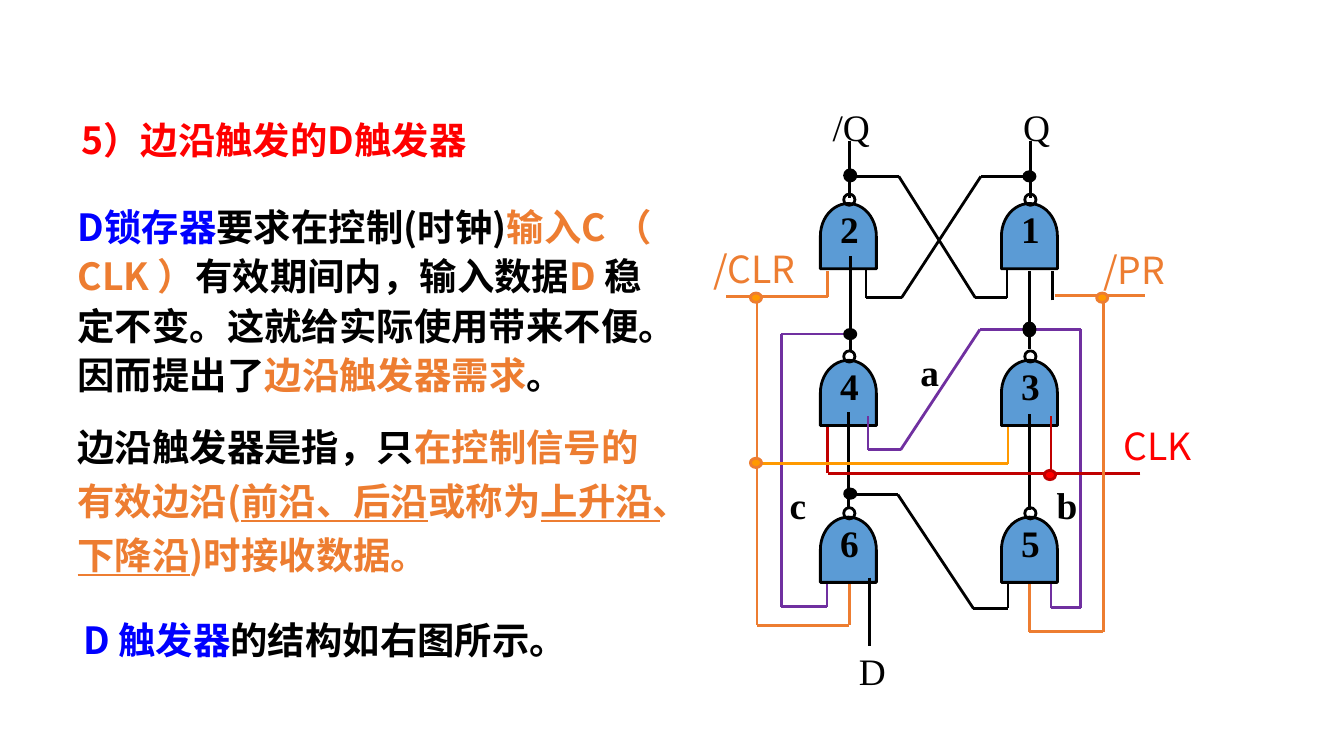
"""Builds a slide on the edge-triggered D flip-flop and its gate circuit."""
from lxml import etree
from pptx import Presentation
from pptx.dml.color import RGBColor
from pptx.enum.shapes import MSO_CONNECTOR, MSO_SHAPE
from pptx.enum.text import MSO_ANCHOR
from pptx.oxml.ns import qn
from pptx.util import Pt

STRAIGHT = MSO_CONNECTOR.STRAIGHT
DELAY = MSO_SHAPE.FLOWCHART_DELAY
OVAL = MSO_SHAPE.OVAL
TOP = MSO_ANCHOR.TOP
MIDDLE = MSO_ANCHOR.MIDDLE

BLACK = RGBColor(0, 0, 0)
RED = RGBColor(0xFF, 0, 0)
DARK_RED = RGBColor(0xC0, 0, 0)
BLUE = RGBColor(0, 0, 0xFF)
GATE_BLUE = RGBColor(0x5B, 0x9B, 0xD5)
ORANGE = RGBColor(0xED, 0x7D, 0x31)
AMBER = RGBColor(0xFF, 0x99, 0)
PURPLE = RGBColor(0x70, 0x30, 0xA0)

HEADING_FONT = "Noto Sans CJK JP"
SIGNAL_FONT = "Noto Sans CJK SC"
LATIN_FONT = "Times New Roman"


class CircuitSlide:
    """Holds the line and text style and draws elements on one slide."""

    line_width = Pt(1.5)
    text_size = Pt(20)

    def __init__(self, slide):
        self.slide = slide

    def style_run(self, run, color, font_name, bold, underline=False):
        font = run.font
        font.size = self.text_size
        font.bold = bold
        font.underline = underline
        font.color.rgb = color
        font.name = font_name
        latin = run._r.rPr.find(qn("a:latin"))
        east_asian = etree.Element(qn("a:ea"), typeface=font_name)
        latin.addnext(east_asian)

    def frame(self, left, top, width, height, anchor=TOP):
        box = self.slide.shapes.add_textbox(Pt(left), Pt(top), Pt(width), Pt(height))
        box.text_frame.word_wrap = True
        box.text_frame.vertical_anchor = anchor
        return box.text_frame

    def prose(self, left, top, width, height, paragraphs, anchor=TOP):
        frame = self.frame(left, top, width, height, anchor)
        for index, (spacing, pieces) in enumerate(paragraphs):
            paragraph = frame.add_paragraph() if index else frame.paragraphs[0]
            paragraph.line_spacing = spacing
            if index:
                paragraph.space_before = Pt(10)
            for wording, color, underline in pieces:
                run = paragraph.add_run()
                run.text = wording
                self.style_run(run, color, HEADING_FONT, True, underline)

    def label(self, wording, left, top, width, color=BLACK, font_name=LATIN_FONT, bold=False):
        frame = self.frame(left, top, width, 35)
        frame.text = wording
        self.style_run(frame.paragraphs[0].runs[0], color, font_name, bold)

    def outline(self, preset, center_x, center_y, width, height, fill, line):
        shape = self.slide.shapes.add_shape(
            preset, Pt(center_x - width / 2), Pt(center_y - height / 2), Pt(width), Pt(height))
        shape.shadow.inherit = False
        if fill is None:
            shape.fill.background()
        else:
            shape.fill.solid()
            shape.fill.fore_color.rgb = fill
        shape.line.color.rgb = line
        shape.line.width = self.line_width
        return shape

    def gate(self, center_x, center_y):
        self.outline(DELAY, center_x, center_y, 35, 30, GATE_BLUE, BLACK).rotation = 270

    def junction(self, center_x, center_y, fill=BLACK, line=BLACK, height=5):
        self.outline(OVAL, center_x, center_y, 6, height, fill, line)

    def bubble(self, center_x, center_y):
        self.outline(OVAL, center_x, center_y, 6, 6, None, BLACK)

    def wire(self, color, *corners):
        for start, end in zip(corners, corners[1:]):
            segment = self.slide.shapes.add_connector(
                STRAIGHT, *(Pt(value) for value in start + end))
            segment.line.color.rgb = color
            segment.line.width = self.line_width
            etree.SubElement(segment._element.spPr, qn("a:effectLst"))


GATE_COLUMNS = (454.5, 551.5)
GATE_ROWS = (126.5, 210.5, 294.5)
GATE_NUMBERS = (("2", "1"), ("4", "3"), ("6", "5"))

WIRES = (
    (BLACK, (455, 75.5), (455, 106)),
    (BLACK, (552, 75.5), (552, 106)),
    (BLACK, (455, 94.5), (481.5, 94.5), (522.5, 159.5), (539.5, 159.5), (539.5, 144)),
    (BLACK, (552, 94.5), (525.5, 94.5), (483, 159.5), (464, 159.5), (464, 144)),
    (ORANGE, (389, 159), (443.5, 159), (443.5, 145)),
    (BLACK, (564, 161), (564, 145)),
    (ORANGE, (565, 158.5), (613.5, 158.5)),
    (BLACK, (455.5, 188), (455.5, 137)),
    (BLACK, (551.5, 187), (551.5, 145)),
    (BLACK, (454.5, 272), (454.5, 221)),
    (BLACK, (551.5, 273), (551.5, 222)),
    (PURPLE, (465, 223), (465, 241), (482.5, 241), (525, 176.5), (579, 176.5),
     (579, 325.5), (563, 325.5), (563, 313)),
    (PURPLE, (455, 179), (418.5, 179), (418.5, 325), (443, 325), (443, 313)),
    (DARK_RED, (611, 253.5), (443.5, 253.5), (443.5, 229)),
    (DARK_RED, (563, 253.5), (563, 223)),
    (AMBER, (407.5, 248.5), (540, 248.5), (540, 229)),
    (ORANGE, (405.5, 160.5), (405.5, 335), (455, 335), (455, 313)),
    (ORANGE, (591, 159), (591, 338.5), (551.5, 338.5), (551.5, 313)),
    (BLACK, (455, 265), (481, 265), (521.5, 326), (540, 326), (540, 313)),
    (BLACK, (466, 309.5), (466, 346)),
)

JUNCTIONS = (
    (455.5, 94, BLACK, BLACK, 6),
    (551.5, 94.5),
    (455.5, 179),
    (551.5, 176.5, BLACK, BLACK, 7),
    (455.5, 264.5),
    (405, 159.5, AMBER, ORANGE),
    (405, 248, AMBER, ORANGE),
    (590.5, 159.5, AMBER, ORANGE),
    (562.5, 254.5, RED, DARK_RED),
)

LABELS = (
    ("/Q", 439, 52, 42),
    ("Q", 541, 52, 30),
    ("D", 453, 343.5, 30),
    ("a", 486, 183.5, 30, BLACK, LATIN_FONT, True),
    ("b", 559, 255, 30, BLACK, LATIN_FONT, True),
    ("c", 416, 255, 30, BLACK, LATIN_FONT, True),
    ("/CLR", 375, 128.5, 61, ORANGE, SIGNAL_FONT),
    ("/PR", 584, 129, 61, ORANGE, SIGNAL_FONT),
    ("CLK", 595, 223, 61, RED, SIGNAL_FONT),
)

TITLE = ((0.9, (("5）边沿触发的D触发器", RED, False),)),)

EXPLANATION = (
    (1.1, (
        ("D锁存器", BLUE, False),
        ("要求在控制(时钟)", BLACK, False),
        ("输入C （ CLK ）", ORANGE, False),
        ("有效期间内，输入数据", BLACK, False),
        ("D ", ORANGE, False),
        ("稳定不变。这就给实际使用带来不便。因而提出了", BLACK, False),
        ("边沿触发器需求", ORANGE, False),
        ("。", BLACK, False))),
    (1.2, (
        ("边沿触发器是指，只", BLACK, False),
        ("在控制信号的有效边沿(", ORANGE, False),
        ("前沿、后沿", ORANGE, True),
        ("或称为", ORANGE, False),
        ("上升沿、下降沿", ORANGE, True),
        (")时接收数据。", ORANGE, False))),
)

CLOSING = ((1.2, (("D 触发器", BLUE, False), ("的结构如右图所示。", BLACK, False))),)


def main():
    deck = Presentation()
    deck.slide_width, deck.slide_height = Pt(720), Pt(405)
    circuit = CircuitSlide(deck.slides.add_slide(deck.slide_layouts[6]))

    circuit.prose(36.5, 60.5, 334, 32, TITLE, MIDDLE)
    circuit.prose(34.5, 103.5, 326, 213, EXPLANATION)
    circuit.prose(37.5, 322.5, 266, 35, CLOSING)

    for row in GATE_ROWS:
        for column in GATE_COLUMNS:
            circuit.gate(column, row)
    for wire in WIRES:
        circuit.wire(*wire)
    for junction in JUNCTIONS:
        circuit.junction(*junction)
    for row, numbers in zip(GATE_ROWS, GATE_NUMBERS):
        for column, number in zip(GATE_COLUMNS, numbers):
            circuit.bubble(column + 0.5, row - 19.5)
            circuit.label(number, column - 11.5, row - 19.5, 25, bold=True)
    for label in LABELS:
        circuit.label(*label)

    deck.save("out.pptx")


if __name__ == "__main__":
    main()
